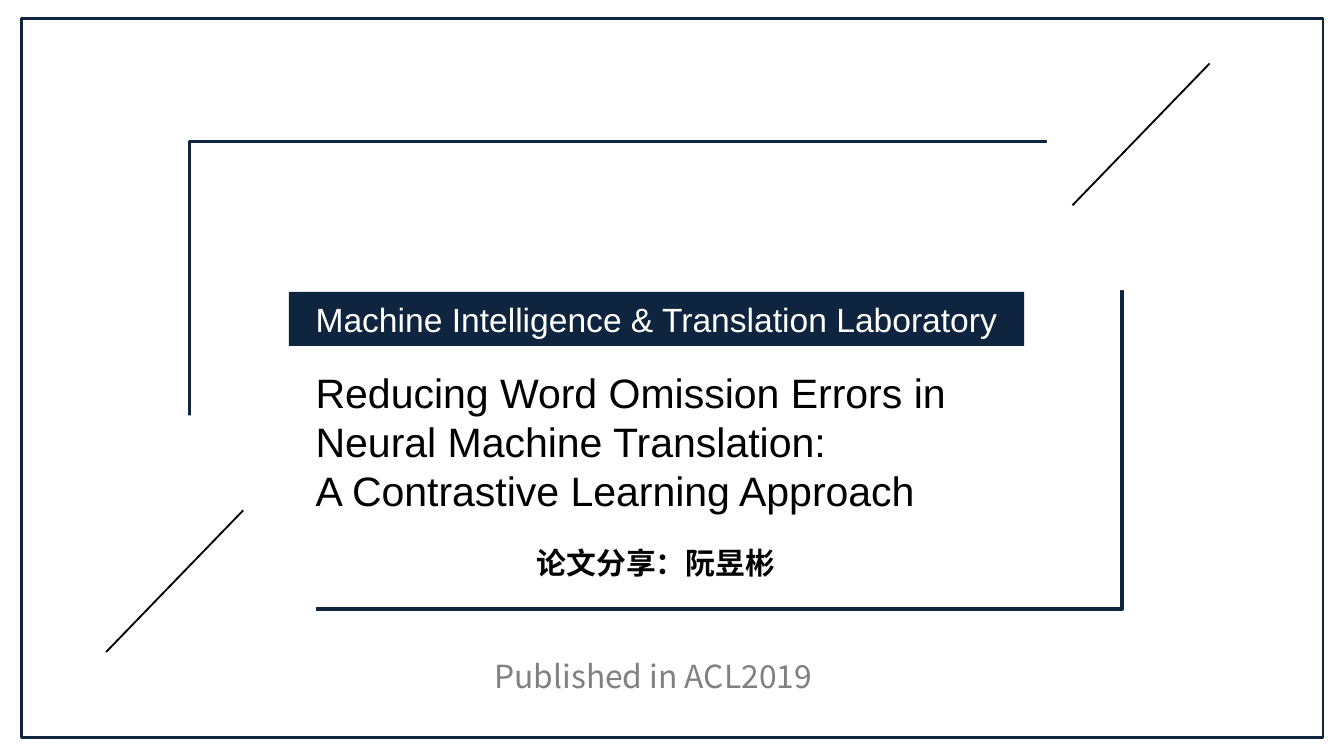
from lxml import etree
from pptx import Presentation
from pptx.dml.color import RGBColor
from pptx.enum.shapes import MSO_CONNECTOR, MSO_SHAPE
from pptx.enum.text import MSO_ANCHOR, PP_ALIGN
from pptx.oxml.ns import qn
from pptx.util import Inches, Pt

RECTANGLE = MSO_SHAPE.RECTANGLE
STRAIGHT = MSO_CONNECTOR.STRAIGHT
LEFT, CENTER = PP_ALIGN.LEFT, PP_ALIGN.CENTER
TOP, MIDDLE = MSO_ANCHOR.TOP, MSO_ANCHOR.MIDDLE

WIDTH = 10
HEIGHT = WIDTH * 9 / 16
COLORS = {"navy": "0F243E", "white": "FFFFFF", "black": "000000", "gray": "808080"}
SANS, CJK = "Arial", "Noto Sans CJK SC"

# Content: places are left, top, width, height in percent of the slide
BANNER = {"lines": ["Machine Intelligence & Translation Laboratory"],
          "size": 18, "font": SANS, "color": "white", "align": CENTER}
BANNER_PLACE = (21.5, 38.6, 54.7, 7.15)
TEXTS = [
    ((32.4, 71.2, 32.8, 6.6),
     {"lines": ["论文分享：阮昱彬"], "size": 16, "font": CJK,
      "color": "black", "align": CENTER, "bold": True}),
    ((22.5, 47.7, 59.2, 21.5),
     {"lines": ["Reducing Word Omission Errors in",
                "Neural Machine Translation:",
                "A Contrastive Learning Approach"],
      "size": 22, "font": SANS, "color": "black", "align": LEFT}),
    ((35.8, 86.05, 30.2, 6.9),
     {"lines": ["Published in ACL2019"], "size": 17, "font": CJK,
      "color": "gray", "align": LEFT}),
]
OUTER_FRAME = (1.6, 2.4, 96.85, 95.15)
INNER_FRAME = (14.1, 18.7, 69.4, 61.85)
# White patches open two corners of the inner frame; a slash crosses each
PATCH_SIZE = (13.9, 28.6)
SLASH_SIZE = (10.2, 18.75)
CORNERS = [
    {"patch": (77.9, 9.8), "slash": (79.8, 8.4)},
    {"patch": (9.6, 54.95), "slash": (7.9, 67.5)},
]


def color(name):
    return RGBColor.from_string(COLORS[name])


def lengths(place):
    return [Inches(share / 100 * side)
            for share, side in zip(place, (WIDTH, HEIGHT) * 2)]


def add_rectangle(place, fill=None, line=None, weight=1):
    shape = slide.shapes.add_shape(RECTANGLE, *lengths(place))
    shape.shadow.inherit = False
    if fill:
        shape.fill.solid()
        shape.fill.fore_color.rgb = color(fill)
    else:
        shape.fill.background()
    if line:
        shape.line.color.rgb = color(line)
        shape.line.width = Pt(weight)
    else:
        shape.line.fill.background()
    return shape


def add_slash(corner):
    left, top = corner
    width, height = SLASH_SIZE
    connector = slide.shapes.add_connector(
        STRAIGHT, *lengths((left + width, top, left, top + height)))
    connector.line.color.rgb = color("black")
    connector.line.width = Pt(1)
    etree.SubElement(connector._element.spPr, qn("a:effectLst"))


def write(shape, text, anchor=TOP):
    frame = shape.text_frame
    frame.word_wrap = True
    frame.vertical_anchor = anchor
    for index, line in enumerate(text["lines"]):
        paragraph = frame.add_paragraph() if index else frame.paragraphs[0]
        paragraph.alignment = text["align"]
        run = paragraph.add_run()
        run.text = line
        run.font.size = Pt(text["size"])
        run.font.name = text["font"]
        run.font.bold = text.get("bold", False)
        run.font.color.rgb = color(text["color"])
        east_asian = etree.SubElement(run.font._element, qn("a:ea"))
        east_asian.set("typeface", text["font"])


presentation = Presentation()
presentation.slide_width, presentation.slide_height = Inches(WIDTH), Inches(HEIGHT)
slide = presentation.slides.add_slide(presentation.slide_layouts[6])

# Outer frame and laboratory banner
add_rectangle(OUTER_FRAME, line="navy", weight=1.5)
write(add_rectangle(BANNER_PLACE, fill="navy"), BANNER, MIDDLE)

# Inner frame with its open corners
add_rectangle(INNER_FRAME, line="navy", weight=2)
for corner in CORNERS:
    add_rectangle(corner["patch"] + PATCH_SIZE, fill="white")
for corner in CORNERS:
    add_slash(corner["slash"])

# Speaker, title and venue
for place, text in TEXTS:
    write(slide.shapes.add_textbox(*lengths(place)), text)

presentation.save("out.pptx")
